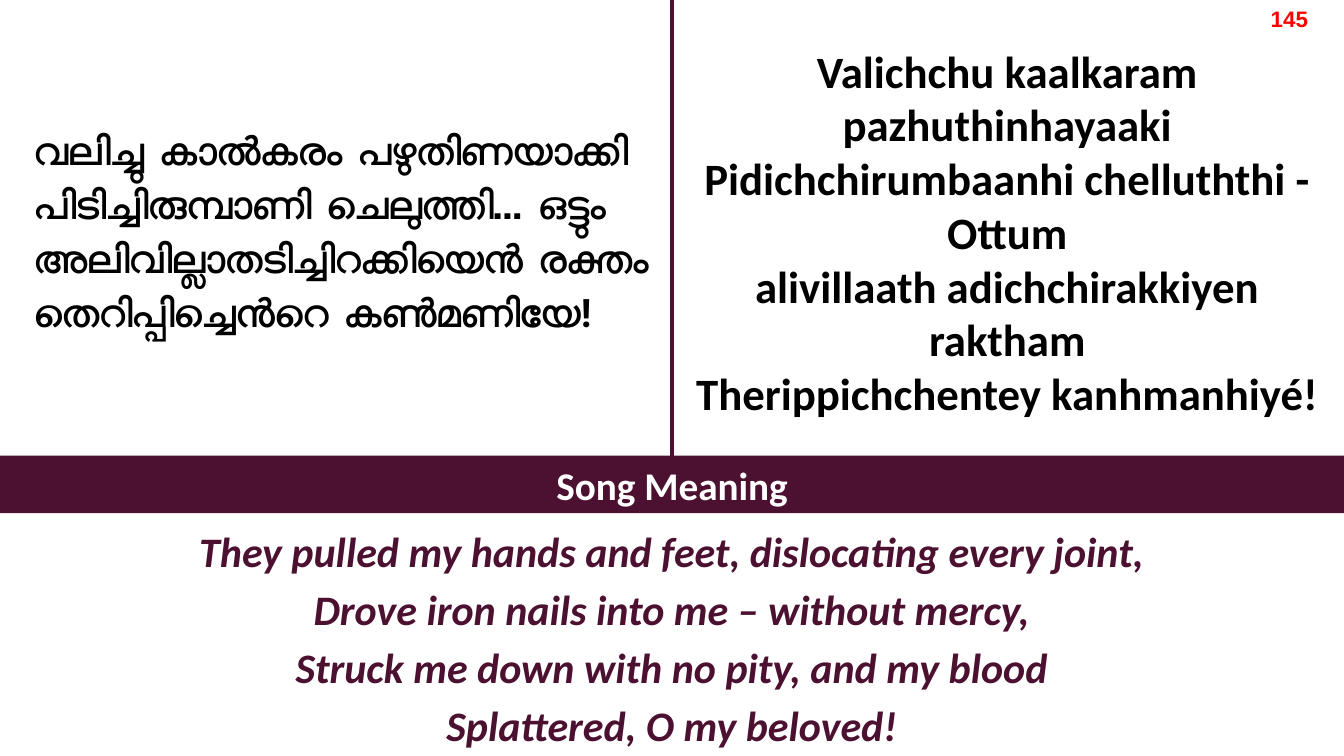
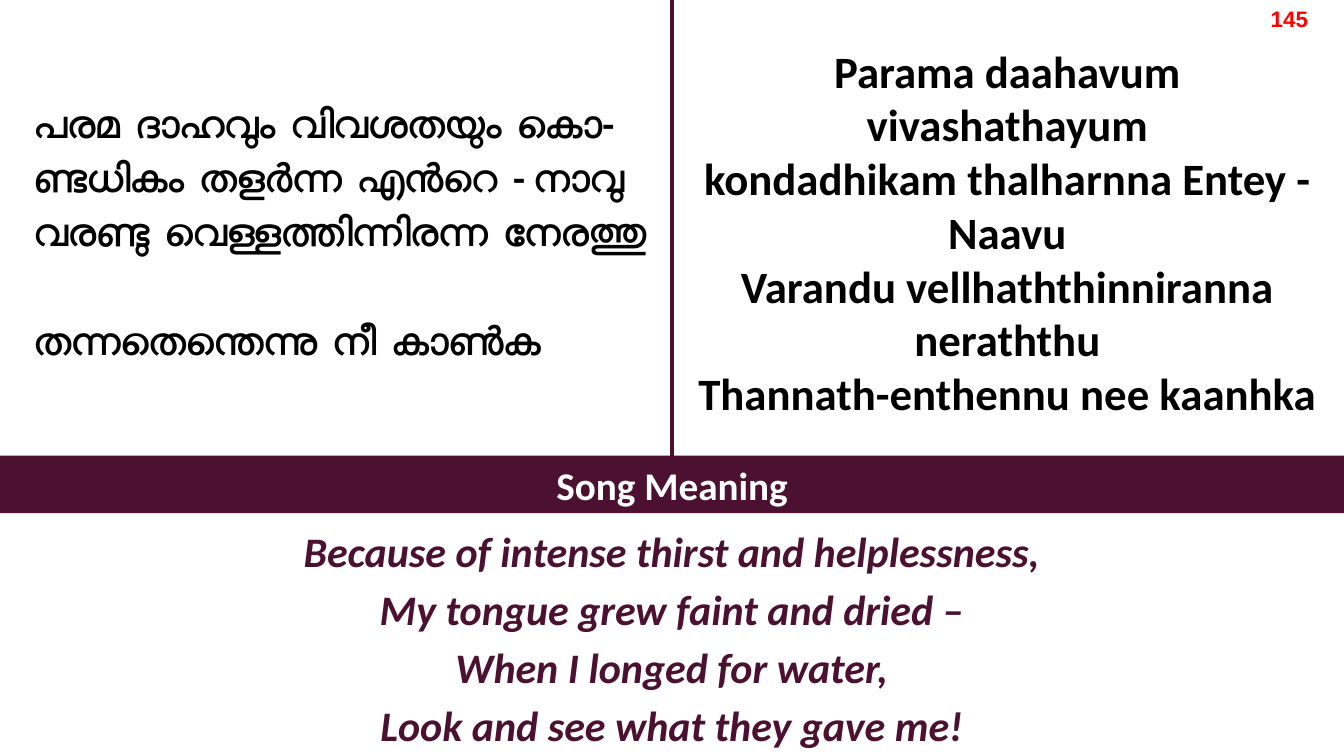
import pptx
import pptx.dml.color
import pptx.enum.shapes
import pptx.enum.text
import pptx.oxml.ns
import pptx.util
import lxml.etree

Pt = pptx.util.Pt
Color = pptx.dml.color.RGBColor
Align = pptx.enum.text.PP_ALIGN
Anchor = pptx.enum.text.MSO_ANCHOR

PLUM = Color(0x4C, 0x11, 0x30)
BLACK = Color(0x00, 0x00, 0x00)
WHITE = Color(0xFF, 0xFF, 0xFF)
RED = Color(0xFF, 0x00, 0x00)

WIDTH, HEIGHT = 960, 540
BAND_TOP, BAND_HIGH = 325.5, 41
BAND_END = BAND_TOP + BAND_HIGH


def write(frame, text, size=28, font="Calibri", color=BLACK, slant=False,
          align=Align.CENTER, anchor=Anchor.TOP, space=1.0,
          inset=(7.2, 3.6), last_gap=0):
    frame.word_wrap = True
    frame.vertical_anchor = anchor
    frame.margin_left = frame.margin_right = Pt(inset[0])
    frame.margin_top = frame.margin_bottom = Pt(inset[1])
    frame.text = text
    for para in frame.paragraphs:
        para.alignment = align
        para.line_spacing = space
        for run in para.runs:
            run.font.name = font
            run.font.size = Pt(size)
            run.font.bold = True
            run.font.italic = slant
            run.font.color.rgb = color
    if last_gap:
        frame.paragraphs[-1].space_before = Pt(last_gap)


class Deck:
    def __init__(self):
        self.show = pptx.Presentation()
        self.show.slide_width = Pt(WIDTH)
        self.show.slide_height = Pt(HEIGHT)
        self.slide = None

    def start(self):
        self.slide = self.show.slides.add_slide(self.show.slide_layouts[6])

    def label(self, text, left, top, width, height, **style):
        box = self.slide.shapes.add_textbox(Pt(left), Pt(top), Pt(width), Pt(height))
        write(box.text_frame, text, **style)

    def band(self, text):
        bar = self.slide.shapes.add_shape(
            pptx.enum.shapes.MSO_SHAPE.RECTANGLE,
            Pt(0), Pt(BAND_TOP), Pt(WIDTH), Pt(BAND_HIGH))
        bar.shadow.inherit = False
        bar.fill.solid()
        bar.fill.fore_color.rgb = PLUM
        bar.line.fill.background()
        write(bar.text_frame, text, color=WHITE, anchor=Anchor.MIDDLE)
        return bar

    def divide(self, bar):
        line = self.slide.shapes.add_connector(
            pptx.enum.shapes.MSO_CONNECTOR.STRAIGHT,
            Pt(WIDTH / 2), Pt(0), Pt(WIDTH / 2), Pt(BAND_TOP))
        line.end_connect(bar, 0)
        line.line.color.rgb = PLUM
        line.line.width = Pt(3)
        lxml.etree.SubElement(line._element.spPr, pptx.oxml.ns.qn("a:effectLst"))

    def verse(self, song, sound, sense, font="Calibri", last_gap=0):
        self.start()
        self.label(song, 17.3, 10, 462.2, 305.3, font=font, align=Align.LEFT,
                   anchor=Anchor.MIDDLE, space=1.15, last_gap=last_gap)
        self.label(sound, 484.5, 26.6, 470.2, 280, size=32, inset=(8.64, 4.32))
        self.label(sense, 66, BAND_END, 828, HEIGHT - BAND_END, size=30,
                   color=PLUM, slant=True, space=1.15)
        self.divide(self.band("Song Meaning"))
        self.label("145", 882, 0, 78, 26.6, size=16, font="Arial", color=RED)


def main():
    deck = Deck()
    deck.verse(
        "വലിച്ചു കാൽകരം പഴുതിണയാക്കി\n"
        "പിടിച്ചിരുമ്പാണി ചെലുത്തി… ഒട്ടും\n"
        "അലിവില്ലാതടിച്ചിറക്കിയെൻ രക്തം\n"
        "തെറിപ്പിച്ചെൻറെ കൺമണിയേ!",
        "Valichchu kaalkaram pazhuthinhayaaki\n"
        "Pidichchirumbaanhi chelluththi - Ottum\n"
        "alivillaath adichchirakkiyen raktham\n"
        "Therippichchentey kanhmanhiyé!",
        "They pulled my hands and feet, dislocating every joint,\n"
        "Drove iron nails into me – without mercy,\n"
        "Struck me down with no pity, and my blood\n"
        "Splattered, O my beloved!",
        font="Roboto")
    deck.verse(
        "പരമ ദാഹവും വിവശതയും കൊ-\n"
        "ണ്ടധികം തളർന്ന എൻറെ - നാവു\n"
        "വരണ്ടു വെള്ളത്തിന്നിരന്ന നേരത്തു\n"
        "തന്നതെന്തെന്നു നീ കാൺക",
        "Parama daahavum vivashathayum\n"
        "kondadhikam thalharnna Entey - Naavu\n"
        "Varandu vellhaththinniranna neraththu\n"
        "Thannath-enthennu nee kaanhka",
        "Because of intense thirst and helplessness,\n"
        "My tongue grew faint and dried –\n"
        "When I longed for water,\n"
        "Look and see what they gave me!",
        last_gap=38.8)
    deck.show.save("out.pptx")


if __name__ == "__main__":
    main()
